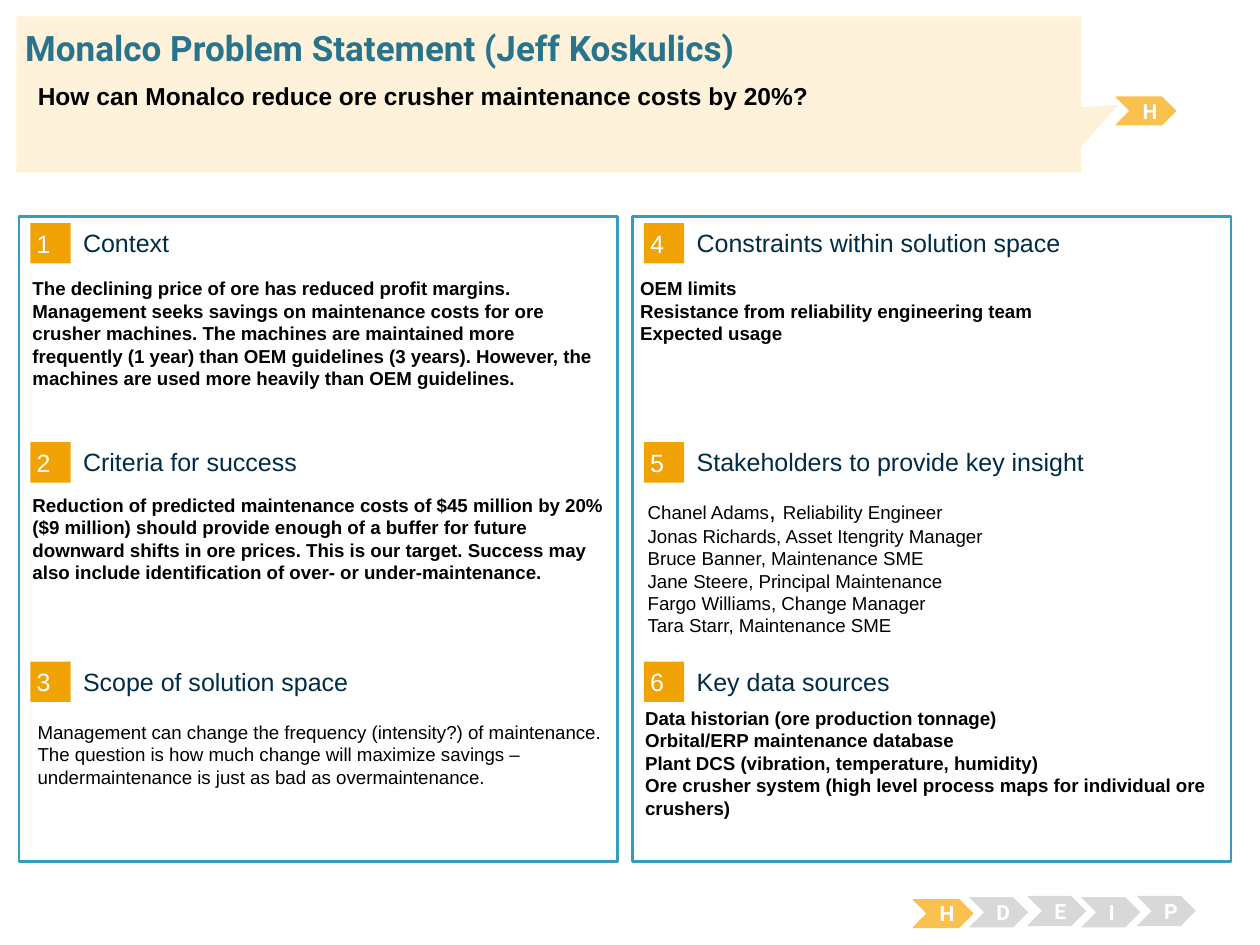
from lxml import etree
from pptx import Presentation
from pptx.dml.color import RGBColor
from pptx.enum.shapes import MSO_SHAPE
from pptx.enum.text import MSO_ANCHOR, MSO_AUTO_SIZE, PP_ALIGN
from pptx.oxml.ns import qn
from pptx.util import Inches, Pt

RECT, CHEVRON = MSO_SHAPE.RECTANGLE, MSO_SHAPE.CHEVRON
CALLOUT = MSO_SHAPE.RECTANGULAR_CALLOUT
TOP, MIDDLE = MSO_ANCHOR.TOP, MSO_ANCHOR.MIDDLE
LEFT, CENTER = PP_ALIGN.LEFT, PP_ALIGN.CENTER
NO_AUTOFIT = MSO_AUTO_SIZE.NONE
COMPARISON_LAYOUT = 4

COLORS = {
    "white": "FFFFFF", "black": "000000", "frame": "379BBD",
    "badge": "F1A205", "heading": "002C46", "title": "29748D",
    "active": "FBC14E", "idle": "D8D8D8", "callout": "FEF2DA",
}
BODY_SIZE, HEADING_SIZE = 10.7, 14.3
BODY_INSETS = (0.1, 0.05)


def color(name):
    return RGBColor.from_string(COLORS[name])


class ProblemSlide:
    """Holds the text style and the slide being built."""

    def __init__(self, slide, font="Arial"):
        self.slide = slide
        self.font = font

    def fill_text(self, frame, lines, size=BODY_SIZE, ink="black", bold=False,
                  font=None, anchor=TOP, align=LEFT, insets=BODY_INSETS):
        """Each line is a string or a list of (text, size) runs."""
        frame.word_wrap = True
        frame.auto_size = NO_AUTOFIT
        frame.vertical_anchor = anchor
        frame.margin_left = frame.margin_right = Inches(insets[0])
        frame.margin_top = frame.margin_bottom = Inches(insets[1])
        for number, line in enumerate(lines):
            paragraph = frame.add_paragraph() if number else frame.paragraphs[0]
            paragraph.alignment = align
            paragraph.space_before = Pt(0)
            paragraph.font.name = font or self.font
            paragraph.font.size = Pt(size)
            paragraph.font.bold = bold
            paragraph.font.color.rgb = color(ink)
            if isinstance(line, str):
                paragraph.add_run().text = line
                continue
            for text, run_size in line:
                run = paragraph.add_run()
                run.text = text
                run.font.size = Pt(run_size)

    def shape(self, kind, box, fill, line=None, width=0.75):
        shape = self.slide.shapes.add_shape(kind, *map(Inches, box))
        shape.shadow.inherit = False
        shape.fill.solid()
        shape.fill.fore_color.rgb = color(fill)
        if line:
            shape.line.color.rgb = color(line)
            shape.line.width = Pt(width)
        else:
            shape.line.fill.background()
        return shape

    def text(self, box, lines, **style):
        textbox = self.slide.shapes.add_textbox(*map(Inches, box))
        self.fill_text(textbox.text_frame, lines, **style)

    def placeholder(self, idx, box, lines, **style):
        """Fill a template placeholder, unbulleted, and bring it to the front."""
        holder = self.slide.placeholders[idx]
        holder.left, holder.top, holder.width, holder.height = map(Inches, box)
        self.fill_text(holder.text_frame, lines, **style)
        for paragraph in holder.text_frame.paragraphs:
            properties = paragraph._p.get_or_add_pPr()
            properties.set("marL", "0")
            properties.set("indent", "0")
            etree.SubElement(properties, qn("a:buNone"))
            defaults = properties.find(qn("a:defRPr"))
            if defaults is not None:
                properties.append(defaults)
        holder.element.getparent().append(holder.element)

    def section(self, number, left, top, heading):
        badge = self.shape(RECT, (left, top, 0.32, 0.32), "badge")
        self.fill_text(badge.text_frame, [str(number)], size=HEADING_SIZE,
                       ink="white", anchor=MIDDLE, insets=(0.05, 0.05))
        self.text((left + 0.42, top + 0.03, 3.93, 0.25), [heading],
                  size=HEADING_SIZE, ink="heading", anchor=MIDDLE, insets=(0, 0))

    def step(self, letter, left, top, active=False):
        if active:
            chevron = self.shape(CHEVRON, (left, top, 0.47, 0.22), "active", "active")
        else:
            chevron = self.shape(CHEVRON, (left, top, 0.47, 0.24), "idle")
        self.fill_text(chevron.text_frame, [letter], size=12, ink="white", bold=True,
                       font="Roboto", anchor=MIDDLE, align=CENTER)


prs = Presentation()
prs.slide_width, prs.slide_height = Inches(10), Inches(7.5)
page = ProblemSlide(prs.slides.add_slide(prs.slide_layouts[COMPARISON_LAYOUT]))

# Framed columns with numbered sections
columns = [
    (0.15, ["Context", "Criteria for success", "Scope of solution space"]),
    (5.02, ["Constraints within solution space",
            "Stakeholders to provide key insight", "Key data sources"]),
]
for column, (left, headings) in enumerate(columns):
    page.shape(RECT, (left, 1.72, 4.75, 5.12), "white", "frame", 1.5)
    for row, heading in enumerate(headings):
        page.section(3 * column + row + 1, left + 0.09, 1.77 + 1.74 * row, heading)

# Left column: narrative
page.text((0.16, 2.15, 4.73, 1.36), [
    "The declining price of ore has reduced profit margins. Management seeks "
    "savings on maintenance costs for ore crusher machines. The machines are "
    "maintained more frequently (1 year) than OEM guidelines (3 years). However, "
    "the machines are used more heavily than OEM guidelines."], bold=True)
page.text((0.16, 3.87, 4.73, 1.54), [
    "Reduction of predicted maintenance costs of $45 million by 20% ($9 million) "
    "should provide enough of a buffer for future downward shifts in ore prices. "
    "This is our target. Success may also include identification of over- or "
    "under-maintenance."], bold=True)
page.text((0.2, 5.67, 4.73, 0.82), [
    "Management can change the frequency (intensity?) of maintenance. The question "
    "is how much change will maximize savings – undermaintenance is just as bad as "
    "overmaintenance."])

# Right column: lists
page.placeholder(2, (4.98, 2.15, 4.73, 1.18), [
    "OEM limits", "Resistance from reliability engineering team",
    "Expected usage"], bold=True)
page.placeholder(3, (5.04, 3.88, 4.73, 1.18), [
    [("Chanel Adams", BODY_SIZE), (", ", 14), ("Reliability Engineer", BODY_SIZE)],
    "Jonas Richards, Asset Itengrity Manager",
    "Bruce Banner, Maintenance SME",
    "Jane Steere, Principal Maintenance",
    "Fargo Williams, Change Manager",
    "Tara Starr, Maintenance SME"])
page.placeholder(4, (5.02, 5.56, 4.73, 1.18), [
    "Data historian (ore production tonnage)",
    "Orbital/ERP maintenance database",
    "Plant DCS (vibration, temperature, humidity)",
    "Ore crusher system (high level process maps for individual ore crushers)",
], bold=True)

# Step tracker, and the current step beside the callout
page.step("H", 7.25, 7.14, active=True)
for letter, left, top in [("D", 7.69, 7.12), ("E", 8.15, 7.11),
                          ("I", 8.58, 7.12), ("P", 9.02, 7.11)]:
    page.step(letter, left, top)
page.step("H", 8.86, 0.77, active=True)

# Callout with title and key question
callout = page.shape(CALLOUT, (0.13, 0.13, 8.45, 1.24), "callout")
callout.adjustments[0], callout.adjustments[1] = 0.535, 0.066
page.placeholder(0, (0.2, 0.21, 9.62, 0.34),
                 ["Monalco Problem Statement (Jeff Koskulics)"], size=20,
                 ink="title", bold=True, font="Roboto", insets=(0, 0))
page.placeholder(1, (0.2, 0.59, 9.39, 0.54),
                 ["How can Monalco reduce ore crusher maintenance costs by 20%?"],
                 size=14, bold=True)

prs.save("out.pptx")
